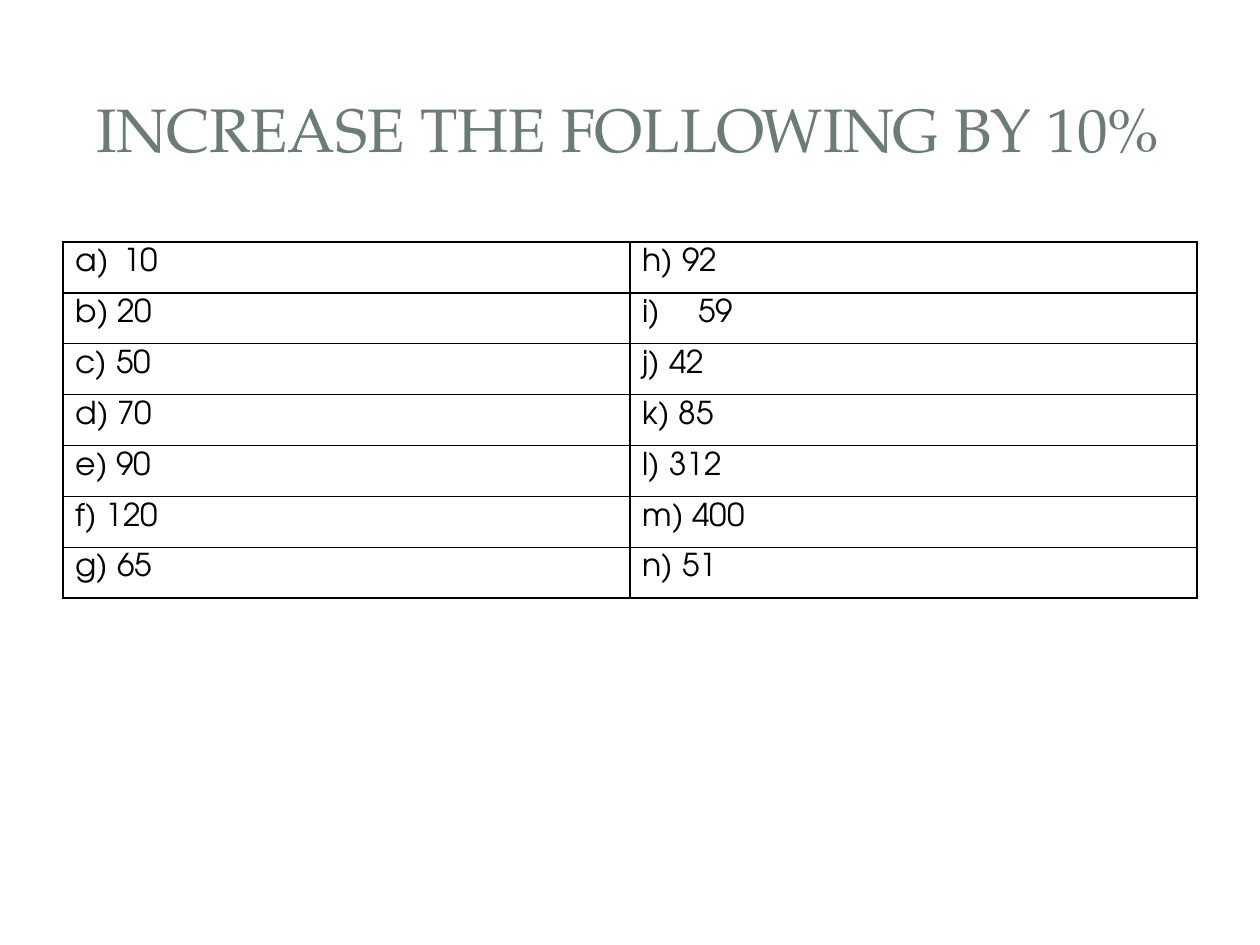
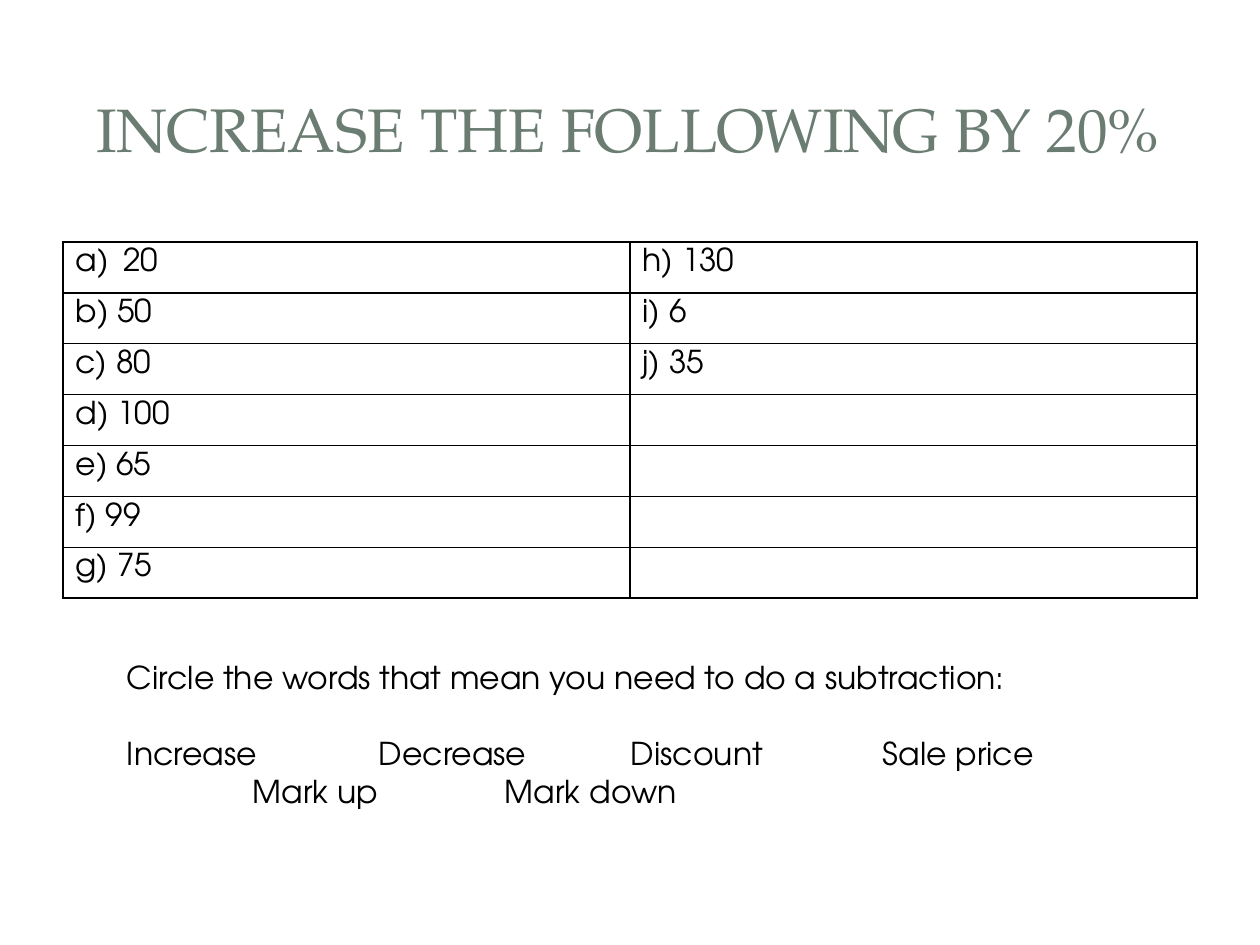
"""Build two percentage-increase exercise slides."""
from lxml import etree
from pptx import Presentation
from pptx.dml.color import RGBColor
from pptx.enum.shapes import MSO_SHAPE
from pptx.enum.text import MSO_ANCHOR, PP_ALIGN
from pptx.oxml.ns import qn
from pptx.util import Inches, Pt

MIDDLE = MSO_ANCHOR.MIDDLE
CENTER = PP_ALIGN.CENTER
ROUNDED, RECTANGLE = MSO_SHAPE.ROUNDED_RECTANGLE, MSO_SHAPE.RECTANGLE

COLORS = {"title": "6B7D72", "text": "000000", "border": "000000", "paper": "FFFFFF"}
TITLE_FONT, BODY_FONT = "TeX Gyre Pagella", "TeX Gyre Adventor"
TITLE_SIZE, BODY_SIZE = 35, 18
ROWS, COLUMNS = 7, 2
TAB_COUNT = 6

PAGE_PANEL = (0.1, 0.11, 9.8, 7.29)
TITLE_FRAME = (0.3, 0.3, 9.4, 1.45)
TITLE_PANEL = (0.41, 0.41, 9.17, 1.22)

EXERCISES = [
    {
        "title": "INCREASE THE FOLLOWING BY 10%",
        "questions": ["10", "b) 20", "c) 50", "d) 70", "e) 90", "f) 120", "g) 65",
                      "h) 92", "59", "j) 42", "k) 85", "l) 312", "m) 400", "n) 51"],
        "numbered": {0: 0.38, 8: 0.44},
    },
    {
        "title": "INCREASE THE FOLLOWING BY 20%",
        "questions": ["20", "b) 50", "c) 80", "d) 100", "e) 65", "f) 99", "g) 75",
                      "h) 130", "i) 6", "j) 35"],
        "numbered": {0: 0.38},
        "task": ["Circle the words that mean you need to do a subtraction:",
                 "Increase\tDecrease\tDiscount\tSale price",
                 "\tMark up\t\tMark down"],
    },
]


def add_panel(slide, preset, place):
    panel = slide.shapes.add_shape(preset, *map(Inches, place))
    panel.shadow.inherit = False
    panel.fill.solid()
    panel.fill.fore_color.rgb = RGBColor.from_string(COLORS["paper"])
    panel.line.fill.background()
    return panel


def add_backdrop(slide):
    slide.background.fill.solid()
    slide.background.fill.fore_color.rgb = RGBColor.from_string(COLORS["paper"])
    add_panel(slide, ROUNDED, PAGE_PANEL).adjustments[0] = 0.02
    title_frame = add_panel(slide, RECTANGLE, TITLE_FRAME)
    paper = title_frame.fill._xPr.find(qn("a:solidFill"))[0]
    etree.SubElement(paper, qn("a:alpha"), val="83000")
    add_panel(slide, RECTANGLE, TITLE_PANEL)


def style_text(paragraph, font_name, size, color):
    for run in paragraph.runs:
        run.font.name = font_name
        run.font.size = Pt(size)
        run.font.color.rgb = RGBColor.from_string(COLORS[color])


def add_title(slide, title):
    box = slide.shapes.add_textbox(Inches(0.47), Inches(0.45), Inches(9.03), Inches(1.14))
    frame = box.text_frame
    frame.word_wrap = True
    frame.vertical_anchor = MIDDLE
    frame.text = title
    heading = frame.paragraphs[0]
    heading.alignment = CENTER
    style_text(heading, TITLE_FONT, TITLE_SIZE, "title")


def style_cell(cell):
    cell.fill.solid()
    cell.fill.fore_color.rgb = RGBColor.from_string(COLORS["paper"])
    properties = cell._tc.get_or_add_tcPr()
    for position, side in enumerate(("a:lnL", "a:lnR", "a:lnT", "a:lnB")):
        border = etree.Element(qn(side), w=str(Pt(1)))
        fill = etree.SubElement(border, qn("a:solidFill"))
        etree.SubElement(fill, qn("a:srgbClr"), val=COLORS["border"])
        properties.insert(position, border)


def number_paragraph(paragraph, number, indent):
    properties = paragraph._p.get_or_add_pPr()
    properties.set("marL", str(Inches(indent)))
    properties.set("indent", str(-Inches(indent)))
    etree.SubElement(properties, qn("a:buFont"), typeface=BODY_FONT)
    etree.SubElement(properties, qn("a:buAutoNum"), type="alphaLcParenR", startAt=str(number))


def add_questions(slide, questions, numbered):
    grid = slide.shapes.add_table(ROWS, COLUMNS, Inches(0.5), Inches(1.92),
                                  Inches(9), Inches(2.83)).table
    grid.first_row = grid.horz_banding = False
    for cell in grid.iter_cells():
        style_cell(cell)
    for index, question in enumerate(questions):
        column, row = divmod(index, ROWS)
        cell = grid.cell(row, column)
        cell.text_frame.text = question
        paragraph = cell.text_frame.paragraphs[0]
        if index in numbered:
            number_paragraph(paragraph, index + 1, numbered[index])
        style_text(paragraph, BODY_FONT, BODY_SIZE, "text")


def add_tab_stops(paragraph):
    stops = etree.SubElement(paragraph._p.get_or_add_pPr(), qn("a:tabLst"))
    for inch in range(1, TAB_COUNT + 1):
        etree.SubElement(stops, qn("a:tab"), pos=str(Inches(inch)), algn="l")


def add_task(slide, lines):
    box = slide.shapes.add_textbox(Inches(0.91), Inches(5.17), Inches(7.56), Inches(1.62))
    frame = box.text_frame
    frame.word_wrap = True
    frame.text = "\n".join(lines)
    for paragraph in frame.paragraphs:
        add_tab_stops(paragraph)
        style_text(paragraph, BODY_FONT, BODY_SIZE, "text")
    frame.paragraphs[1].space_before = Pt(22)


def main():
    deck = Presentation()
    deck.slide_width, deck.slide_height = Inches(10), Inches(7.5)
    for exercise in EXERCISES:
        slide = deck.slides.add_slide(deck.slide_layouts[6])
        add_backdrop(slide)
        add_title(slide, exercise["title"])
        add_questions(slide, exercise["questions"], exercise["numbered"])
        if "task" in exercise:
            add_task(slide, exercise["task"])
    deck.save("out.pptx")


if __name__ == "__main__":
    main()
